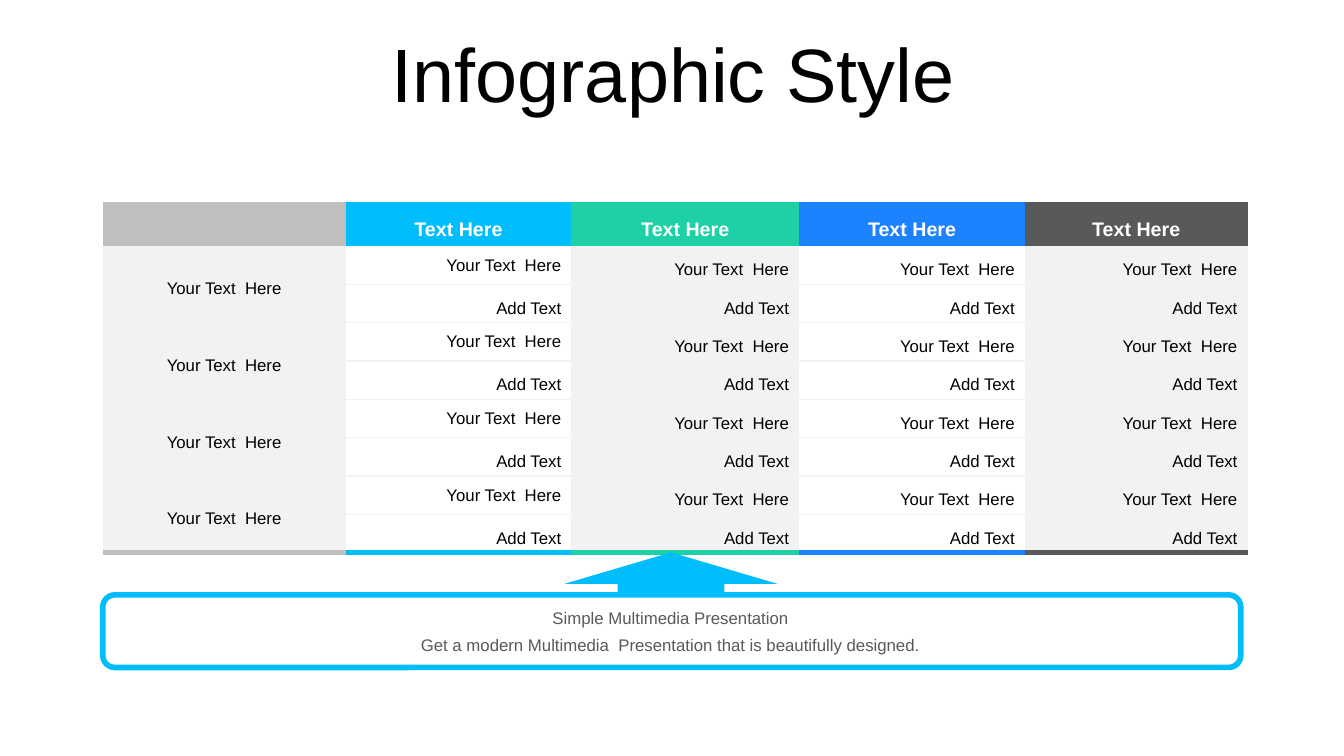
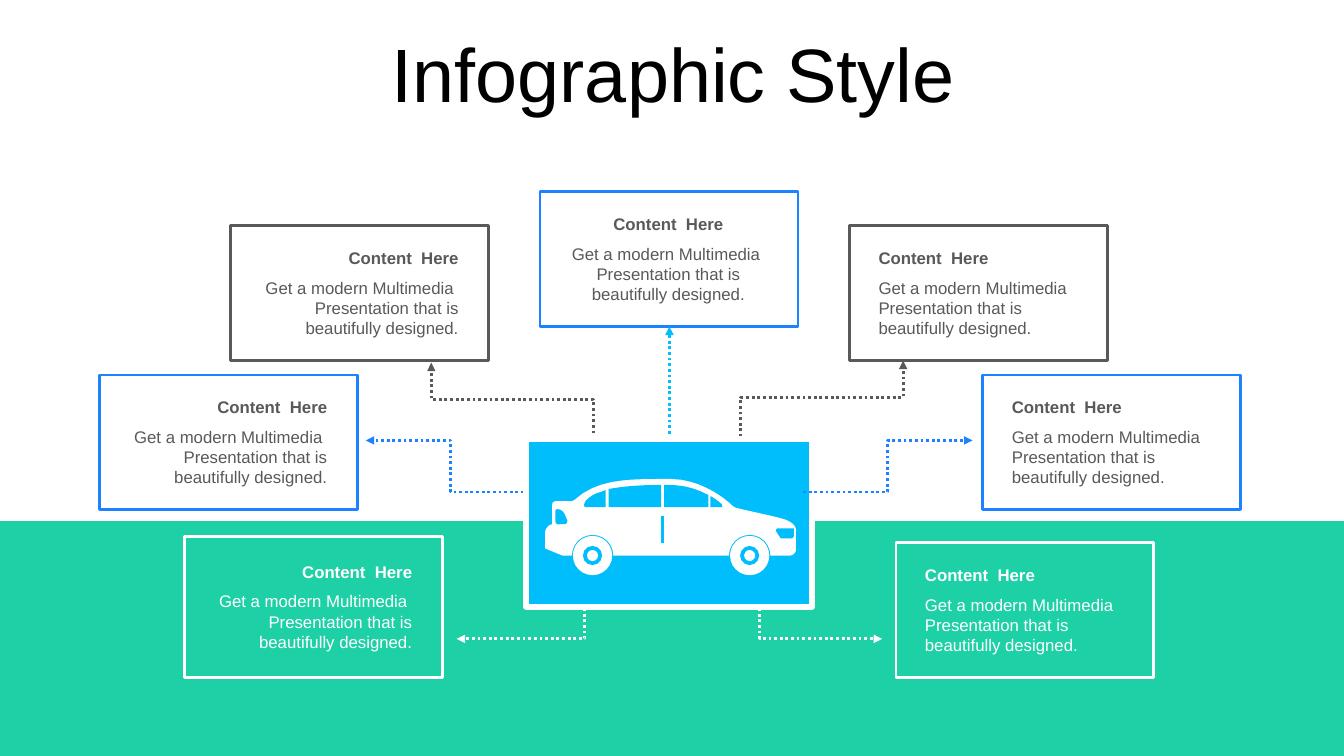
from lxml import etree
from pptx import Presentation
from pptx import util as u
from pptx.dml.color import RGBColor
from pptx.enum import dml, shapes, text
from pptx.oxml.ns import qn

COLORS = {
    "white": "FFFFFF", "black": "000000", "cyan": "00BDFB", "green": "1ED0A6",
    "blue": "1C82FF", "dark": "595959", "silver": "BFBFBF", "light": "F2F2F2",
}
ALIGN = {"l": text.PP_ALIGN.LEFT, "c": text.PP_ALIGN.CENTER, "r": text.PP_ALIGN.RIGHT}
FONT = "Arial"
WIDTH, HEIGHT = 33.87, 19.05
NO_GRID_STYLE = "{2D5ABB26-0587-4C30-8999-92F81FD0307C}"
SENTENCE = "Get a modern Multimedia  Presentation that is beautifully designed."


def rgb(name):
    return RGBColor.from_string(COLORS[name])


def flatten(path_points, steps=8):
    """Turn points and six-number Bezier segments into plain points."""
    points = [path_points[0]]
    for segment in path_points[1:]:
        if len(segment) == 2:
            points.append(segment)
            continue
        controls = [points[-1], segment[:2], segment[2:4], segment[4:]]
        for step in range(1, steps + 1):
            t = step / steps
            weights = ((1 - t) ** 3, 3 * t * (1 - t) ** 2, 3 * t * t * (1 - t), t ** 3)
            points.append(tuple(sum(w * c[axis] for w, c in zip(weights, controls))
                                for axis in (0, 1)))
    return points


class Deck:
    def __init__(self):
        self.presentation = Presentation()
        self.presentation.slide_width = u.Cm(WIDTH)
        self.presentation.slide_height = u.Cm(HEIGHT)
        self.slide = None

    def new_slide(self, title):
        self.slide = self.presentation.slides.add_slide(self.presentation.slide_layouts[5])
        shape = self.slide.shapes.title
        shape.left, shape.top, shape.width, shape.height = map(u.Cm, (0.89, 0.79, 32.16, 2.34))
        self.set_text(shape.text_frame, title, 54, "black", "c", spacing=0.9)
        shape.text_frame.vertical_anchor = text.MSO_ANCHOR.MIDDLE
        shape.text_frame.auto_size = text.MSO_AUTO_SIZE.NONE
        shape.text_frame.paragraphs[0].space_before = u.Pt(10)

    def set_text(self, frame, words, size, color, align, bold=False, spacing=None):
        frame.text = words
        paragraph = frame.paragraphs[0]
        paragraph.alignment = ALIGN[align]
        if spacing:
            paragraph.line_spacing = spacing
        for run in paragraph.runs:
            run.font.name, run.font.size, run.font.bold = FONT, u.Pt(size), bold
            run.font.color.rgb = rgb(color)

    def paint(self, shape, fill=None, line=None, weight=2):
        shape.shadow.inherit = False
        if fill:
            shape.fill.solid()
            shape.fill.fore_color.rgb = rgb(fill)
        else:
            shape.fill.background()
        if line:
            shape.line.color.rgb = rgb(line)
            shape.line.width = u.Pt(weight)
        else:
            shape.line.fill.background()
        return shape

    def shape(self, kind, box, fill=None, line=None, weight=2):
        shape = self.slide.shapes.add_shape(kind, *map(u.Cm, box))
        return self.paint(shape, fill, line, weight)

    def outline(self, points, fill):
        points = [(u.Cm(x), u.Cm(y)) for x, y in points]
        builder = self.slide.shapes.build_freeform(*points[0])
        builder.add_line_segments(points[1:], close=True)
        return self.paint(builder.convert_to_shape(), fill)

    def label(self, box, words, color="dark", align="c", bold=False):
        shape = self.slide.shapes.add_textbox(*map(u.Cm, box))
        shape.text_frame.word_wrap = True
        self.set_text(shape.text_frame, words, 12, color, align, bold)

    def card(self, left, top, color, align, height=3.4):
        on_band = color == "white"
        self.shape(shapes.MSO_SHAPE.RECTANGLE, (left, top, 6.5, height),
                   None if on_band else "white", color)
        ink = "white" if on_band else "dark"
        text_left, text_top = left + 0.48, top + (height - 2.54) / 2
        self.label((text_left, text_top, 5.51, 0.76), "Content  Here", ink, align, True)
        self.label((text_left, text_top + 0.75, 5.51, 1.8), SENTENCE, ink, align)

    def arrow(self, start, end, color, bend=None, upright=False):
        """Dotted arrow; bend is the share of the way to the turn, upright leaves vertically."""
        (x1, y1), (x2, y2) = start, end
        if upright:  # lay the box on its side, then turn it a quarter
            x, y, dx, dy = (x1 + x2) / 2, (y1 + y2) / 2, (x2 - x1) / 2, (y2 - y1) / 2
            x1, y1, x2, y2 = x - dy, y + dx, x + dy, y - dx
        kind = shapes.MSO_CONNECTOR.STRAIGHT if bend is None else shapes.MSO_CONNECTOR.ELBOW
        connector = self.slide.shapes.add_connector(kind, *map(u.Cm, (x1, y1, x2, y2)))
        properties = connector._element.spPr
        if upright:
            properties.find(qn("a:xfrm")).set("rot", "5400000")
        if bend is not None:
            etree.SubElement(properties.find(".//" + qn("a:avLst")), qn("a:gd"),
                             name="adj1", fmla=f"val {round(bend * 100000)}")
        connector.line.color.rgb = rgb(color)
        connector.line.width = u.Pt(2)
        connector.line.dash_style = dml.MSO_LINE.ROUND_DOT
        etree.SubElement(properties.find(qn("a:ln")), qn("a:tailEnd"), type="triangle")
        etree.SubElement(properties, qn("a:effectLst"))

    def table(self, left, top, widths, heights):
        frame = self.slide.shapes.add_table(len(heights), len(widths), u.Cm(left), u.Cm(top),
                                            u.Cm(sum(widths)), u.Cm(sum(heights)))
        table = frame.table
        table.first_row = table.horz_banding = False
        frame._element.find(".//" + qn("a:tableStyleId")).text = NO_GRID_STYLE
        for column, width in zip(table.columns, widths):
            column.width = u.Cm(width)
        for row, height in zip(table.rows, heights):
            row.height = u.Cm(height)
        return table

    def cell(self, cell, words, fill, align, size=12, color="black", bold=False, spacing=1.5):
        cell.fill.solid()
        cell.fill.fore_color.rgb = rgb(fill)
        cell.vertical_anchor = text.MSO_ANCHOR.MIDDLE
        self.set_text(cell.text_frame, words, size, color, align, bold, spacing)
        if not words:
            cell.text_frame.paragraphs[0].font.size = u.Pt(size)

    def bottom_border(self, cell, color, weight):
        border = etree.Element(qn("a:lnB"), w=str(int(u.Pt(weight))))
        fill = etree.SubElement(border, qn("a:solidFill"))
        etree.SubElement(fill, qn("a:srgbClr"), val=COLORS[color])
        cell._tc.get_or_add_tcPr().insert(0, border)


def table_slide(deck):
    deck.new_slide("Infographic Style")

    # Table: coloured heads, pairs of rows under each merged row label
    heads = ["silver", "cyan", "green", "blue", "dark"]
    table = deck.table(2.59, 5.08, [6.12, 5.69, 5.74, 5.69, 5.61], [1.12] + [0.94] * 8)
    for column, head in enumerate(heads):
        deck.cell(table.cell(0, column), "Text Here" if column else "", head, "c",
                  14, "white", True)
        for row in range(1, 9):
            cell = table.cell(row, column)
            upper = row % 2 == 1
            if column == 0:
                words = "Your Text  Here" if upper else ""
            else:
                words = "Your Text  Here" if upper else "Add Text"
            deck.cell(cell, words, "white" if column in (1, 3) else "light",
                      "r" if column else "c", spacing=1.0 if column == 1 and upper else 1.5)
            last = row == 8 or (row == 7 and column == 0)
            deck.bottom_border(cell, head if last else "light", 4.5 if last else 1)
    for row in range(1, 9, 2):
        table.cell(row, 0).merge(table.cell(row + 1, 0))

    # Callout below the table
    deck.shape(shapes.MSO_SHAPE.ROUNDED_RECTANGLE, (2.59, 14.99, 28.68, 1.83),
               "white", "cyan", 4)
    pointer = deck.shape(shapes.MSO_SHAPE.UP_ARROW, (14.22, 13.92, 5.38, 1.12), "cyan")
    pointer.adjustments[1] = 0.71
    deck.label((4.34, 15.19, 25.12, 0.76), "Simple Multimedia Presentation")
    deck.label((4.34, 15.88, 25.12, 0.76), SENTENCE)


# Car icon, drawn on a grid 249 units wide
CAR_BODY = [
    (110, 0), (77, 0, 50, 2, 30, 20), (29, 21, 27, 22, 25, 22), (11, 22),
    (9, 22, 7, 23, 7, 25), (7, 45), (4, 45, 1, 48, 0, 52), (0, 69), (17, 76), (243, 76),
    (246, 76, 249, 73, 249, 70), (249, 52), (249, 52, 251, 43, 234, 39),
    (223, 36, 203, 32, 191, 29), (186, 28, 185, 25, 182, 23), (174, 16, 151, 0, 125, 0)]
CAR_OPENINGS = [
    # Windows, back to front
    [(60, 11), (60, 28), (40, 28), (38, 28, 38, 23, 42, 20), (45, 17, 50, 14, 55, 13)],
    [(110, 6), (115, 6), (115, 28), (63, 28), (63, 10), (79, 7, 98, 6, 110, 6)],
    [(118, 6), (122, 6), (141, 6, 152, 11, 162, 16), (162, 28), (118, 28)],
    [(164, 17), (166, 18), (169, 20, 172, 22, 174, 24), (175, 24, 177, 28, 175, 28), (164, 28)],
    # Door gap, head lamp, tail lamp
    [(115, 37), (118, 37), (118, 64), (115, 64)],
    [(247, 49), (247, 56), (247, 57, 246, 59, 245, 59), (234, 59), (230, 53),
     (229, 52, 229, 49, 231, 49)],
    [(12, 30), (19, 30, 20, 38, 22, 41), (22, 43, 21, 45, 19, 45), (14, 45),
     (11, 46, 10, 43, 10, 41), (10, 32), (10, 31, 11, 30, 12, 30)],
]
WHEEL_RINGS = [(20.5, "cyan"), (19.5, "white"), (9.5, "cyan"), (5.5, "white")]


def draw_car(deck, left, top, width):
    unit = width / 249

    def place(points):
        return [(left + x * unit, top + y * unit) for x, y in flatten(points)]

    deck.outline(place(CAR_BODY), "white")
    for opening in CAR_OPENINGS:
        deck.outline(place(opening), "cyan")
    for center_x in (47, 203):
        for radius, color in WHEEL_RINGS:
            (x, y), = place([(center_x - radius, 76 - radius)])
            deck.shape(shapes.MSO_SHAPE.OVAL, (x, y, 2 * radius * unit, 2 * radius * unit), color)


def car_slide(deck):
    deck.new_slide("Infographic Style")
    deck.shape(shapes.MSO_SHAPE.RECTANGLE, (0, 13.13, WIDTH, HEIGHT - 13.13), "green")

    # Cards around the car
    for card in [(2.51, 9.45, "blue", "r"), (5.82, 5.69, "dark", "r"),
                 (13.61, 4.83, "blue", "c"), (21.41, 5.69, "dark", "l"),
                 (24.77, 9.45, "blue", "l"), (4.65, 13.51, "white", "r", 3.56),
                 (22.58, 13.67, "white", "l")]:
        deck.card(*card)

    # Arrows from the car to the cards
    deck.arrow((18.67, 11.58), (22.76, 9.09), "dark", 0.63, upright=True)
    deck.arrow((14.96, 11.63), (10.87, 9.14), "dark", 0.63, upright=True)
    deck.arrow((16.87, 11.07), (16.87, 8.23), "cyan")
    deck.arrow((13.49, 12.4), (9.22, 11.1), "blue", 0.5)
    deck.arrow((14.74, 15.04), (11.51, 16.1), "white", 0)
    deck.arrow((19.15, 15.04), (22.23, 16.1), "white", 0)

    # Car panel, with the right-hand arrow in front of its frame
    deck.shape(shapes.MSO_SHAPE.RECTANGLE, (13.26, 11.07, 7.21, 4.22), "cyan", "white", 4)
    deck.arrow((20.24, 12.4), (24.51, 11.1), "blue", 0.5)
    draw_car(deck, 13.74, 12.07, 6.32)


def main():
    deck = Deck()
    table_slide(deck)
    car_slide(deck)
    deck.presentation.save("out.pptx")


if __name__ == "__main__":
    main()
